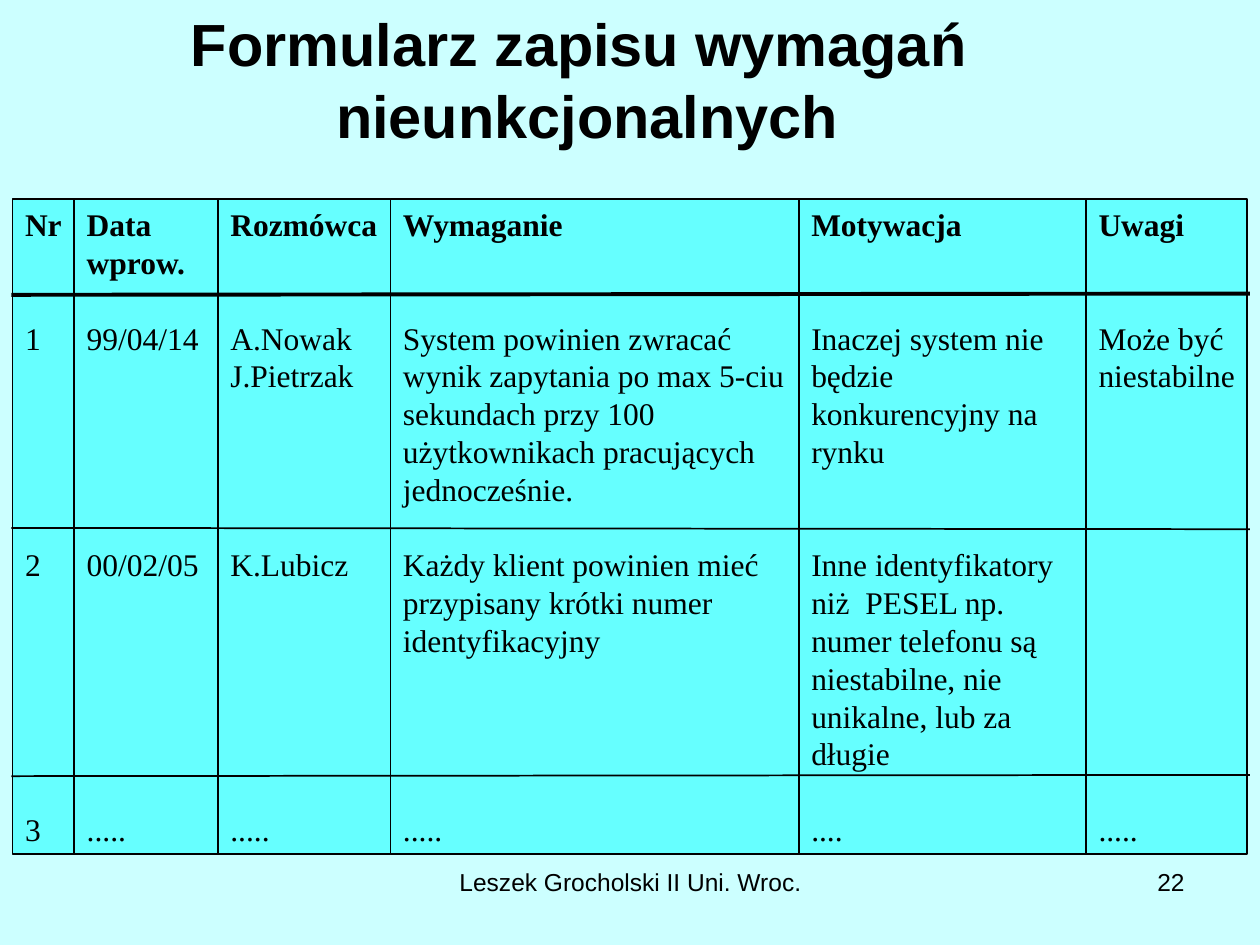
from lxml import etree
from pptx import Presentation
from pptx import util as u
from pptx.dml import color as c
from pptx.enum import shapes as s, text as t
from pptx.oxml import ns

HUES = {"back": "CCFFFF", "cell": "66FFFF", "ink": "000000"}
PITCH = 21.6
STARTS = [0, 3, 9, 16]
COLUMNS = [
    (0.49, False, [("Nr", 1), ("1", 1), ("2", 1), ("3", 1)]),
    (1.14, True, [("Data wprow.", 2), ("99/04/14", 1), ("00/02/05", 1), (".....", 1)]),
    (1.37, False, [("Rozmówca", 1), ("A.Nowak\nJ.Pietrzak", 2), ("K.Lubicz", 1),
                   (".....", 1)]),
    (3.24, True, [
        ("Wymaganie", 1),
        ("System powinien zwracać wynik zapytania po max 5-ciu sekundach "
         "przy 100 użytkownikach pracujących jednocześnie.", 5),
        ("Każdy klient powinien mieć przypisany krótki numer identyfikacyjny", 3),
        (".....", 1)]),
    (2.28, True, [
        ("Motywacja", 1),
        ("Inaczej system nie będzie konkurencyjny na rynku", 4),
        ("Inne identyfikatory niż  PESEL np. numer telefonu są niestabilne, "
         "nie unikalne, lub za długie", 6),
        ("....", 1)]),
    (1.28, False, [("Uwagi", 1), ("Może być\nniestabilne", 2), ("", 0), (".....", 1)]),
]
RULES = [(2.34, 2.33, 2.25), (4.19, 4.2, 1), (6.16, 6.15, 1)]


def tint(hue):
    return c.RGBColor.from_string(HUES[hue])


def write(frame, words, size=18, face="Arial", bold=False, align="LEFT",
          pitch=None, gap=0):
    for i, line in enumerate(words.split("\n")):
        para = frame.paragraphs[0]
        if para.runs:
            para = frame.add_paragraph()
        para.alignment = getattr(t.PP_ALIGN, align)
        if pitch:
            para.line_spacing = u.Pt(pitch)
        para.space_before = u.Pt(0 if i else gap)
        run = para.add_run()
        run.text = line
        font = run.font
        font.size, font.name, font.bold = u.Pt(size), face, bold
        font.color.rgb = tint("ink")


def title(slide, box, words):
    shape = slide.shapes.title
    shape.left, shape.top, shape.width, shape.height = map(u.Inches, box)
    frame = shape.text_frame
    frame.auto_size = t.MSO_AUTO_SIZE.NONE
    frame.vertical_anchor = t.MSO_ANCHOR.MIDDLE
    write(frame, words, size=34, bold=True, align="CENTER")


def column(slide, box, wrap, cells):
    shape = slide.shapes.add_shape(s.MSO_SHAPE.RECTANGLE, *map(u.Inches, box))
    shape.shadow.inherit = False
    shape.fill.solid()
    shape.fill.fore_color.rgb = tint("cell")
    shape.line.color.rgb = tint("ink")
    shape.line.width = u.Pt(1)
    frame = shape.text_frame
    frame.word_wrap = wrap
    frame.vertical_anchor = t.MSO_ANCHOR.TOP
    end = 0
    for start, (words, count) in zip(STARTS, cells):
        if words:
            write(frame, words, face="Times New Roman", bold=start == 0,
                  pitch=PITCH, gap=(start - end) * PITCH)
            end = start + count


def rule(slide, left, right, start, end, width):
    line = slide.shapes.add_connector(
        s.MSO_CONNECTOR.STRAIGHT, *map(u.Inches, (left, start, right, end)))
    line.line.color.rgb = tint("ink")
    line.line.width = u.Pt(width)
    etree.SubElement(line._element.spPr, ns.qn("a:effectLst"))


def form(slide, box):
    left, top, width, height = box
    edge = left
    for wide, wrap, cells in COLUMNS:
        column(slide, (edge, top, wide, height), wrap, cells)
        edge += wide
    for start, end, weight in RULES:
        rule(slide, left - 0.01, left + width + 0.02, start, end, weight)


def foot(slide, box, words, align):
    frame = slide.shapes.add_textbox(*map(u.Inches, box)).text_frame
    frame.word_wrap = True
    write(frame, words, size=14, align=align)


def main():
    deck = Presentation()
    deck.slide_width, deck.slide_height = u.Inches(10), u.Inches(7.5)
    slide = deck.slides.add_slide(deck.slide_layouts[5])
    fill = slide.background.fill
    fill.solid()
    fill.fore_color.rgb = tint("back")
    foot(slide, (3.42, 6.83, 3.17, 0.52), "Leszek Grocholski II Uni. Wroc.", "CENTER")
    foot(slide, (7.17, 6.83, 2.33, 0.52), "22", "RIGHT")
    title(slide, (0.59, 0.28, 8.14, 0.69), "Formularz zapisu wymagań  nieunkcjonalnych")
    form(slide, (0.1, 1.58, 9.8, 5.2))
    deck.save("out.pptx")


if __name__ == "__main__":
    main()
